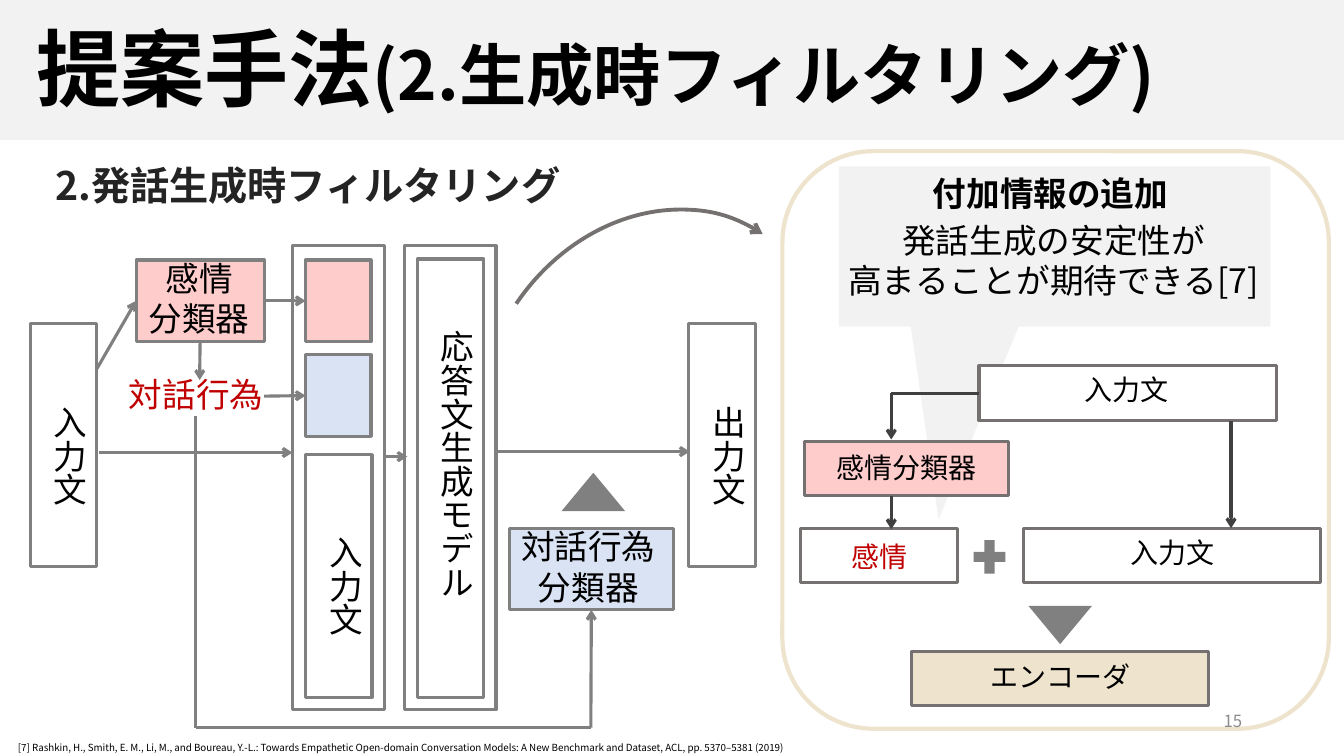
from dataclasses import dataclass
from typing import Optional

from lxml import etree
from pptx import Presentation
from pptx.dml.color import RGBColor
from pptx.enum.shapes import MSO_CONNECTOR, MSO_SHAPE
from pptx.enum.text import MSO_ANCHOR, MSO_AUTO_SIZE, PP_ALIGN
from pptx.oxml.ns import qn
from pptx.util import Inches, Pt

RECT, ROUNDED = MSO_SHAPE.RECTANGLE, MSO_SHAPE.ROUNDED_RECTANGLE
TRIANGLE, PLUS, ARC = MSO_SHAPE.ISOSCELES_TRIANGLE, MSO_SHAPE.MATH_PLUS, MSO_SHAPE.ARC
CALLOUT = MSO_SHAPE.RECTANGULAR_CALLOUT
STRAIGHT = MSO_CONNECTOR.STRAIGHT
LEFT, CENTER, RIGHT = PP_ALIGN.LEFT, PP_ALIGN.CENTER, PP_ALIGN.RIGHT
TOP, MIDDLE = MSO_ANCHOR.TOP, MSO_ANCHOR.MIDDLE
GROW, FIXED = MSO_AUTO_SIZE.SHAPE_TO_FIT_TEXT, MSO_AUTO_SIZE.NONE
SIDE_LEFT, SIDE_BOTTOM, SIDE_RIGHT = 1, 2, 3

FONT = "Noto Sans CJK JP"
COLORS = {
    "black": "000000", "heading": "242424", "red": "C00000", "page": "8C8C8C",
    "band": "F2F2F2", "gray": "808080", "warm": "767171", "dark": "404040",
    "pink": "FFCCCC", "blue": "DAE3F3", "beige": "EEE4CE", "white": "FFFFFF",
}

Point = tuple[float, float]
Bounds = tuple[float, float, float, float]


@dataclass
class Box:
    at: Bounds
    fill: Optional[str] = None
    line: Optional[str] = "gray"
    width: float = 2.25
    kind: int = RECT
    rotation: float = 0
    adjustments: tuple[float, ...] = ()


@dataclass
class Label:
    """Each paragraph is a tuple of (text, size) runs."""
    at: Bounds
    paragraphs: list[tuple[tuple[str, float], ...]]
    color: str = "black"
    align: int = CENTER
    bold: bool = False
    vertical: bool = False
    anchor: int = TOP
    auto_size: int = GROW


@dataclass
class Link:
    start: Point
    end: Point
    color: str = "gray"
    arrow: bool = True
    begin_at: Optional[tuple[str, int]] = None
    end_at: Optional[tuple[str, int]] = None


def rgb(name: str) -> RGBColor:
    return RGBColor.from_string(COLORS[name])


def add_arrowhead(shape) -> None:
    etree.SubElement(shape.line._get_or_add_ln(), qn("a:tailEnd"), type="arrow")


def draw_box(shapes, box: Box):
    shape = shapes.add_shape(box.kind, *map(Inches, box.at))
    shape.shadow.inherit = False
    shape.rotation = box.rotation
    for index, value in enumerate(box.adjustments):
        shape.adjustments[index] = value
    if box.fill:
        shape.fill.solid()
        shape.fill.fore_color.rgb = rgb(box.fill)
    else:
        shape.fill.background()
    if box.line:
        shape.line.color.rgb = rgb(box.line)
        shape.line.width = Pt(box.width)
    else:
        shape.line.fill.background()
    return shape


def draw_label(shapes, label: Label) -> None:
    frame = shapes.add_textbox(*map(Inches, label.at)).text_frame
    frame.word_wrap = True
    frame.auto_size = label.auto_size
    frame.vertical_anchor = label.anchor
    if label.vertical:
        frame._txBody.bodyPr.set("vert", "eaVert")
    for index, runs in enumerate(label.paragraphs):
        paragraph = frame.add_paragraph() if index else frame.paragraphs[0]
        paragraph.alignment = label.align
        for text, size in runs:
            run = paragraph.add_run()
            run.text = text
            run.font.size = Pt(size)
            run.font.bold = label.bold
            run.font.color.rgb = rgb(label.color)
            run.font.name = FONT
            etree.SubElement(run._r.get_or_add_rPr(), qn("a:ea"), typeface=FONT)


def draw_link(shapes, link: Link, boxes: dict) -> None:
    line = shapes.add_connector(STRAIGHT, *map(Inches, link.start + link.end))
    line.line.color.rgb = rgb(link.color)
    line.line.width = Pt(2.25)
    if link.arrow:
        add_arrowhead(line)
    etree.SubElement(line._element.spPr, qn("a:effectLst"))
    if link.begin_at:
        line.begin_connect(boxes[link.begin_at[0]], link.begin_at[1])
    if link.end_at:
        line.end_connect(boxes[link.end_at[0]], link.end_at[1])


def lines(size: float, *texts: str) -> list[tuple[tuple[str, float], ...]]:
    return [((text, size),) for text in texts]


def column_label(left: float, top: float, height: float, text: str) -> Label:
    return Label((left, top, 0.61, height), lines(24, text), align=LEFT, vertical=True)


def small_label(left: float, top: float, width: float, text: str, color: str = "black") -> Label:
    return Label((left, top, width, 0.44), lines(20, text), color)


BOXES = {
    "callout": Box((8.32, 1.65, 4.28, 1.59), "band", None, kind=CALLOUT, adjustments=(-0.269, 1.702)),
    "header": Box((0, 0, 13.33, 1.39), "band", None),
    "input": Box((0.3, 3.21, 0.66, 2.41)),
    "model input": Box((2.9, 2.44, 0.91, 4.6)),
    "model input text": Box((3.03, 4.51, 0.66, 2.41)),
    "emotion slot": Box((3.03, 2.58, 0.65, 0.81), "pink"),
    "act slot": Box((3.03, 3.52, 0.65, 0.81), "blue"),
    "emotion classifier": Box((1.35, 2.58, 1.27, 0.81), "pink"),
    "act classifier": Box((5.05, 5.24, 1.63, 0.81), "blue"),
    "model": Box((4.01, 2.44, 0.91, 4.6)),
    "model core": Box((4.14, 2.57, 0.66, 4.35)),
    "output": Box((6.83, 3.21, 0.66, 2.41)),
    "filter mark": Box((5.57, 4.69, 0.63, 0.38), "gray", None, kind=TRIANGLE),
    "detail classifier": Box((7.98, 4.38, 2.02, 0.54), "pink", "warm"),
    "detail emotion": Box((7.94, 5.24, 1.56, 0.54), None, "warm"),
    "plus": Box((9.6, 5.3, 0.43, 0.45), "gray", None, kind=PLUS),
    "detail text": Box((10.15, 5.24, 2.95, 0.54), None, "warm"),
    "detail input": Box((9.71, 3.63, 2.95, 0.54), "white", "warm"),
    "encoder mark": Box((10.2, 6.01, 0.63, 0.38), "gray", None, kind=TRIANGLE, rotation=180),
    "encoder": Box((9.04, 6.46, 2.95, 0.54), "beige", "warm"),
    "detail frame": Box((7.76, 1.5, 5.42, 5.73), None, "beige", 3, ROUNDED),
    "detail arc": Box((4.54, 2.29, 3.88, 3.28), None, "warm", 2.75, ARC, 304),
}

LINKS = [
    Link((0.98, 4.49), (2.9, 4.49)),
    Link((4.92, 4.48), (6.84, 4.48)),
    Link((2.62, 2.98), (3.03, 2.98), begin_at=("emotion classifier", SIDE_RIGHT),
         end_at=("emotion slot", SIDE_LEFT)),
    Link((2.62, 3.93), (3.03, 3.93), end_at=("act slot", SIDE_LEFT)),
    Link((1.98, 3.39), (1.98, 3.77), begin_at=("emotion classifier", SIDE_BOTTOM)),
    Link((0.96, 3.66), (1.35, 2.98), end_at=("emotion classifier", SIDE_LEFT)),
    Link((3.8, 4.53), (4.04, 4.53)),
    Link((1.94, 4.13), (1.94, 7.22), arrow=False),
    Link((1.94, 7.22), (5.86, 7.22), arrow=False),
    Link((5.86, 7.22), (5.86, 6.05), end_at=("act classifier", SIDE_BOTTOM)),
    Link((8.84, 4.92), (8.84, 5.25), "dark"),
    Link((12.21, 4.18), (12.21, 5.24), "dark"),
    Link((8.84, 3.9), (8.84, 4.36), "dark"),
    Link((9.71, 3.9), (8.84, 3.9), "dark", False, begin_at=("detail input", SIDE_LEFT)),
]

LABELS = [
    Label((0.45, 1.55, 5.73, 0.57), lines(28, "2.発話生成時フィルタリング"), "heading", LEFT, True),
    Label((0.26, 0.11, 13.18, 1.11), [(("提案手法", 60), ("(2.生成時フィルタリング)", 48))],
          align=LEFT, bold=True),
    column_label(0.32, 3.93, 1.69, "入力文"),
    column_label(3.06, 5.22, 1.69, "入力文"),
    column_label(4.16, 3.18, 3.74, "応答文生成モデル"),
    column_label(6.86, 3.93, 1.69, "出力文"),
    Label((1.34, 2.51, 1.27, 0.91), lines(24, "感情", "分類器")),
    Label((5.02, 5.17, 1.63, 0.91), lines(24, "対話行為", "分類器")),
    Label((1.16, 3.66, 1.57, 0.5), lines(24, "対話行為"), "red"),
    small_label(8.04, 5.3, 1.37, "感情", "red"),
    small_label(7.85, 4.42, 2.29, "感情分類器"),
    small_label(10.63, 5.26, 1.99, "入力文"),
    small_label(10.18, 3.65, 1.99, "入力文"),
    small_label(9.52, 6.49, 1.99, "エンコーダ"),
    Label((8.23, 2.13, 4.44, 0.91), lines(24, "発話生成の安定性が", "高まることが期待できる[7]")),
    Label((8.32, 1.67, 4.2, 0.5), lines(24, "付加情報の追加"), bold=True),
    Label((0.08, 7.31, 12.59, 0.22), lines(7, "[7] Rashkin, H., Smith, E. M., Li, M., and Boureau, Y.-L.: "
          "Towards Empathetic Open-domain Conversation Models: A New Benchmark and Dataset, "
          "ACL, pp. 5370–5381 (2019)"), align=LEFT),
    Label((9.42, 6.95, 3, 0.4), lines(12, "15"), "page", RIGHT, anchor=MIDDLE, auto_size=FIXED),
]


def main() -> None:
    deck = Presentation()
    deck.slide_width, deck.slide_height = Inches(13.33), Inches(7.5)
    shapes = deck.slides.add_slide(deck.slide_layouts[6]).shapes
    boxes = {name: draw_box(shapes, box) for name, box in BOXES.items()}
    add_arrowhead(boxes["detail arc"])
    for link in LINKS:
        draw_link(shapes, link, boxes)
    for label in LABELS:
        draw_label(shapes, label)
    deck.save("out.pptx")


if __name__ == "__main__":
    main()
